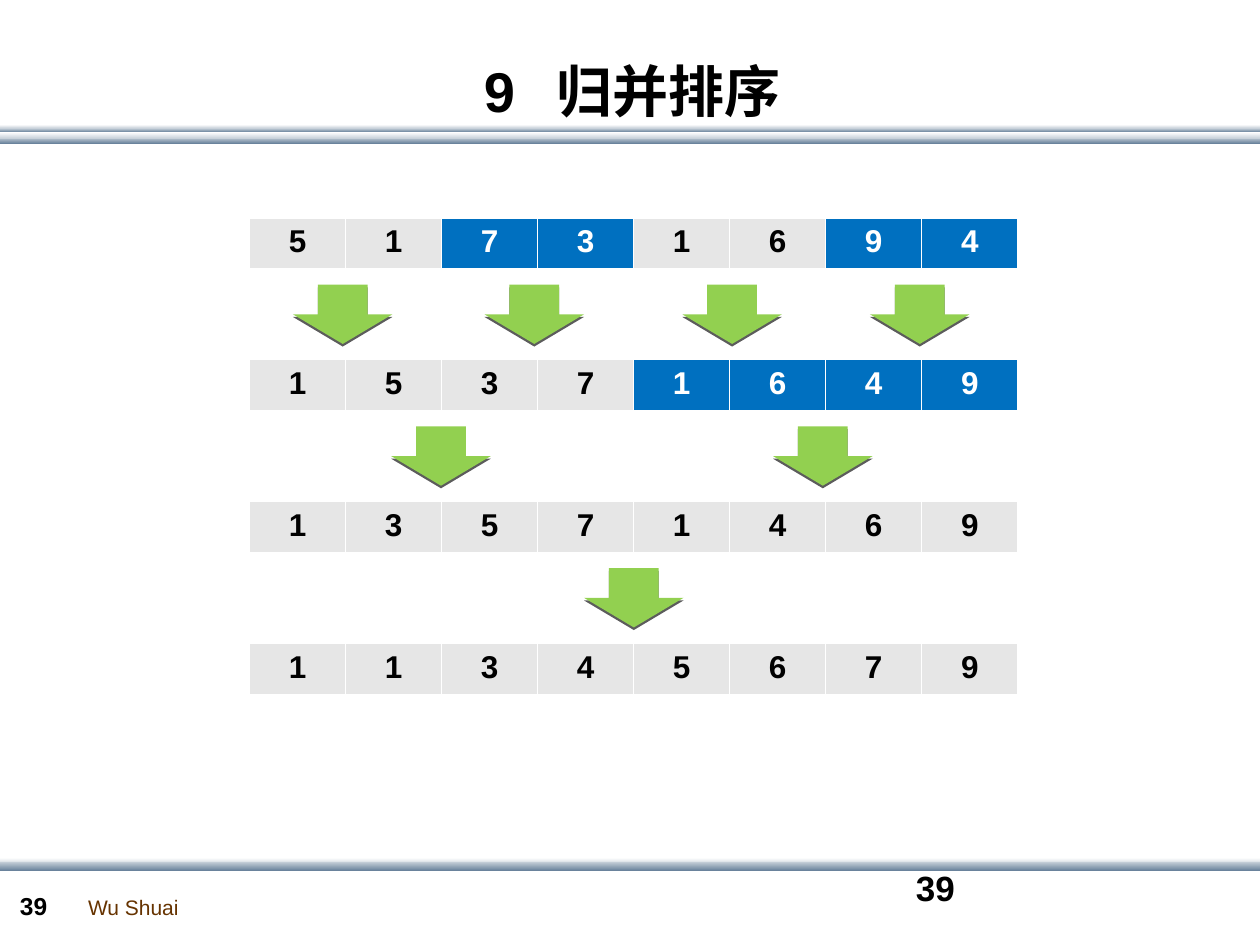
from lxml.etree import SubElement
from pptx import Presentation
from pptx.dml.color import RGBColor
from pptx.enum.shapes import MSO_SHAPE as Shape
from pptx.enum.text import MSO_ANCHOR as Anchor, PP_ALIGN as Align
from pptx.oxml.ns import qn
from pptx.util import Inches, Pt

COLORS = {
    "white": "FFFFFF",
    "black": "000000",
    "brown": "663300",
    "mist": "C8D1DA",
    "steel": "6A839C",
    "gray": "E6E6E6",
    "blue": "0070C0",
    "green": "92D050",
}
FONT = "Arial"
TABLE_LEFT, TABLE_TOP, ROW_STEP = 1.98, 1.73, 1.125
CELL_WIDTH, CELL_HEIGHT = 0.7625, 0.41
ARROW_LENGTH, ARROW_BREADTH, ARROW_DROP = 0.47, 0.79, 0.765

BANDS = [
    (1.09, 0.05, "mist", "steel"),
    (1.02, 0.03, "mist", "steel"),
    (1.05, 0.05, "white", "mist"),
    (0.99, 0.03, "white", "mist"),
    (6.81, 0.05, "white", "mist"),
    (6.84, 0.07, "mist", "steel"),
]
STEPS = [
    ("51731694", {2, 3, 6, 7}, [2.72, 4.24, 5.81, 7.3]),
    ("15371649", {4, 5, 6, 7}, [3.5, 6.53]),
    ("13571469", set(), [5.03]),
    ("11345679", set(), []),
]


def rgb(name):
    return RGBColor.from_string(COLORS[name])


def add_span(para, text, size, color="black", bold=True):
    span = para.add_run()
    span.text = text
    span.font.name = FONT
    span.font.size = Pt(size)
    span.font.bold = bold
    span.font.color.rgb = rgb(color)
    return span


def add_band(page, top, height, start, end):
    band = page.shapes.add_shape(
        Shape.RECTANGLE, 0, Inches(top), Inches(10.01), Inches(height))
    band.shadow.inherit = False
    band.line.fill.background()
    band.fill.gradient()
    band.fill.gradient_angle = 270
    for stop, name in zip(band.fill.gradient_stops, (start, end)):
        stop.color.rgb = rgb(name)


def set_title(page):
    title = page.shapes.title
    title.left, title.top = Inches(0.22), Inches(0.44)
    title.width, title.height = Inches(9.6), Inches(0.55)
    frame = title.text_frame
    frame.vertical_anchor = Anchor.MIDDLE
    para = frame.paragraphs[0]
    para.alignment = Align.CENTER
    add_span(para, "9", 32)
    gap = add_span(para, " ", 32)
    gap.font._element.set("spc", "1500")
    add_span(para, "归并排序", 32)


def add_label(page, text, left, top, width, height, size,
              color="black", bold=True, wrap=True, before=0):
    box = page.shapes.add_textbox(
        Inches(left), Inches(top), Inches(width), Inches(height))
    box.text_frame.word_wrap = wrap
    para = box.text_frame.paragraphs[0]
    para.space_before = Pt(before)
    add_span(para, text, size, color, bold)


def add_borders(cell):
    properties = cell._tc.get_or_add_tcPr()
    for side, width in (("L", 0.45), ("R", 0.45), ("T", 0.45), ("B", 1.47)):
        line = SubElement(properties, qn(f"a:ln{side}"), w=str(Pt(width)))
        fill = SubElement(line, qn("a:solidFill"))
        SubElement(fill, qn("a:srgbClr"), val=COLORS["white"])


def add_number_row(page, top, digits, marked):
    table = page.shapes.add_table(
        1, len(digits), Inches(TABLE_LEFT), Inches(top),
        Inches(CELL_WIDTH * len(digits)), Inches(CELL_HEIGHT)).table
    table.first_row = False
    table.horz_banding = False
    for index, digit in enumerate(digits):
        cell = table.cell(0, index)
        add_borders(cell)
        cell.fill.solid()
        cell.fill.fore_color.rgb = rgb("blue" if index in marked else "gray")
        para = cell.text_frame.paragraphs[0]
        para.alignment = Align.CENTER
        add_span(para, digit, 18, "white" if index in marked else "black")


def add_arrow(page, center_x, center_y):
    arrow = page.shapes.add_shape(
        Shape.RIGHT_ARROW,
        Inches(center_x - ARROW_LENGTH / 2), Inches(center_y - ARROW_BREADTH / 2),
        Inches(ARROW_LENGTH), Inches(ARROW_BREADTH))
    arrow.rotation = 90
    arrow.fill.solid()
    arrow.fill.fore_color.rgb = rgb("green")
    arrow.line.fill.background()
    arrow.shadow.inherit = False
    effects = arrow._element.spPr.find(qn("a:effectLst"))
    shadow = SubElement(effects, qn("a:outerShdw"), dist=str(Pt(1.5)),
                        dir="5400000", rotWithShape="0")
    tint = SubElement(shadow, qn("a:srgbClr"), val=COLORS["black"])
    SubElement(tint, qn("a:alpha"), val="63000")


def main():
    deck = Presentation()
    deck.slide_width, deck.slide_height = Inches(10), Inches(7.5)
    page = deck.slides.add_slide(deck.slide_layouts[5])
    for band in BANDS:
        add_band(page, *band)
    add_label(page, "Wu Shuai", 0.6, 7.05, 0.92, 0.3, 12,
              color="brown", bold=False, wrap=False)
    add_label(page, "39", 0.06, 7.02, 0.55, 0.34, 14, before=8.8)
    add_label(page, "39", 7.17, 6.83, 2.33, 0.5, 20)
    set_title(page)
    for step, (digits, marked, centers) in enumerate(STEPS):
        top = TABLE_TOP + step * ROW_STEP
        add_number_row(page, top, digits, marked)
        for center in centers:
            add_arrow(page, center, top + ARROW_DROP)
    deck.save("out.pptx")


if __name__ == "__main__":
    main()
